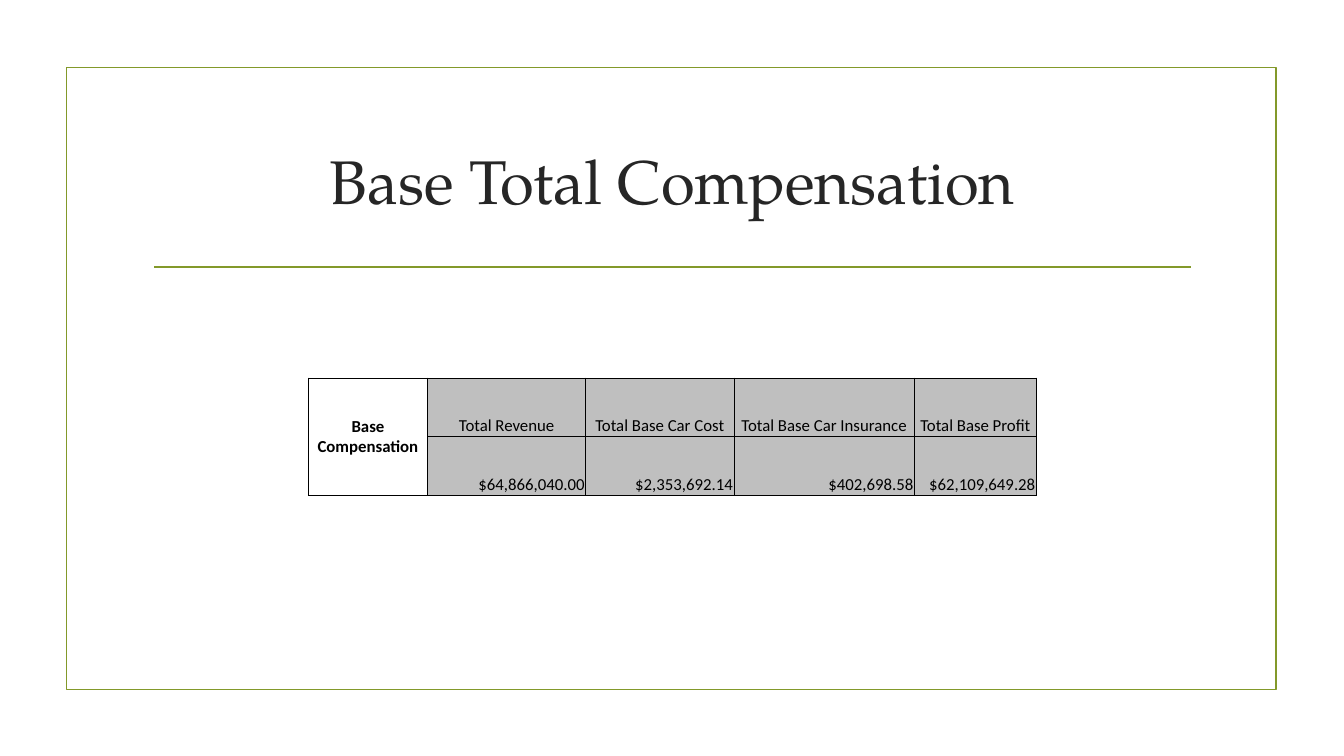
"""Build the Base Total Compensation slide."""
from dataclasses import dataclass
from typing import Any

from lxml.etree import SubElement
from pptx import Presentation
from pptx.dml.color import RGBColor
from pptx.enum.shapes import MSO_CONNECTOR, MSO_SHAPE
from pptx.enum.text import MSO_ANCHOR, PP_ALIGN
from pptx.oxml.ns import qn
from pptx.util import Inches, Pt

GREEN, INK, BLACK, WHITE, GRAY = "83992A", "262626", "000000", "FFFFFF", "BFBFBF"
COLUMN_WIDTHS = (1.18, 1.57, 1.47, 1.79, 1.21)
ROW_HEIGHT = 0.58
TOTALS = {
    "Total Revenue": "$64,866,040.00",
    "Total Base Car Cost": "$2,353,692.14",
    "Total Base Car Insurance": "$402,698.58",
    "Total Base Profit": "$62,109,649.28",
}


@dataclass(frozen=True)
class Entry:
    row: int
    column: int
    text: str
    align: Any = PP_ALIGN.CENTER
    anchor: Any = MSO_ANCHOR.BOTTOM
    fill: str = GRAY
    bold: bool = False


def color(value: str) -> RGBColor:
    return RGBColor.from_string(value)


def assign(target: Any, values: dict[str, Any]) -> None:
    for name, value in values.items():
        setattr(target, name, value)


def box(left: float, top: float, width: float, height: float) -> dict[str, int]:
    return dict(left=Inches(left), top=Inches(top), width=Inches(width), height=Inches(height))


def style_font(font: Any, name: str, size: float, ink: str, bold: bool = False) -> None:
    assign(font, {"name": name, "size": Pt(size), "bold": bold})
    font.color.rgb = color(ink)


def style_line(line: Any) -> None:
    line.color.rgb = color(GREEN)
    line.width = Pt(1.25)


def add_borders(cell: Any) -> None:
    properties = cell._tc.get_or_add_tcPr()
    for side in ("a:lnL", "a:lnR", "a:lnT", "a:lnB"):
        border = SubElement(properties, qn(side), w=str(Pt(0.5)))
        SubElement(SubElement(border, qn("a:solidFill")), qn("a:srgbClr"), val=BLACK)


def write_entry(table: Any, entry: Entry) -> None:
    cell = table.cell(entry.row, entry.column)
    cell.text = entry.text
    assign(cell, {
        "vertical_anchor": entry.anchor,
        "margin_left": Inches(0.01),
        "margin_right": Inches(0.01),
        "margin_top": Inches(0.01),
        "margin_bottom": 0,
    })
    cell.fill.solid()
    cell.fill.fore_color.rgb = color(entry.fill)
    paragraph = cell.text_frame.paragraphs[0]
    paragraph.alignment = entry.align
    style_font(paragraph.runs[0].font, "Calibri", 12, BLACK, entry.bold)


def add_frame(slide: Any) -> None:
    frame = slide.shapes.add_shape(MSO_SHAPE.RECTANGLE, **box(0.66, 0.67, 12, 6.17))
    frame.shadow.inherit = False
    frame.fill.background()
    style_line(frame.line)

    rule = slide.shapes.add_connector(
        MSO_CONNECTOR.STRAIGHT, Inches(1.53), Inches(2.65), Inches(11.81), Inches(2.65))
    style_line(rule.line)
    SubElement(rule._element.spPr, qn("a:effectLst"))


def set_title(slide: Any) -> None:
    title = slide.shapes.title
    assign(title, box(1.42, 1.07, 10.5, 1.43))
    title.text = "Base Total Compensation"
    title.text_frame.vertical_anchor = MSO_ANCHOR.MIDDLE
    heading = title.text_frame.paragraphs[0]
    heading.alignment = PP_ALIGN.CENTER
    style_font(heading.runs[0].font, "TeX Gyre Pagella", 44, INK)


def add_totals(slide: Any) -> None:
    table = slide.shapes.add_table(
        2, len(COLUMN_WIDTHS), **box(3.06, 3.75, sum(COLUMN_WIDTHS), 2 * ROW_HEIGHT)).table
    assign(table, {"first_row": False, "horz_banding": False})
    for column, width in zip(table.columns, COLUMN_WIDTHS):
        column.width = Inches(width)
    for row in table.rows:
        row.height = Inches(ROW_HEIGHT)
    for cell in table.iter_cells():
        add_borders(cell)
    table.cell(0, 0).merge(table.cell(1, 0))

    write_entry(table, Entry(0, 0, "Base Compensation", anchor=MSO_ANCHOR.MIDDLE,
                             fill=WHITE, bold=True))
    for column, (label, amount) in enumerate(TOTALS.items(), start=1):
        write_entry(table, Entry(0, column, label))
        write_entry(table, Entry(1, column, amount, align=PP_ALIGN.RIGHT))


def main() -> None:
    deck = Presentation()
    assign(deck, {"slide_width": Inches(13.33), "slide_height": Inches(7.5)})
    slide = deck.slides.add_slide(deck.slide_layouts[5])
    slide.background.fill.solid()
    slide.background.fill.fore_color.rgb = color(WHITE)
    add_frame(slide)
    set_title(slide)
    add_totals(slide)
    deck.save("out.pptx")


main()
